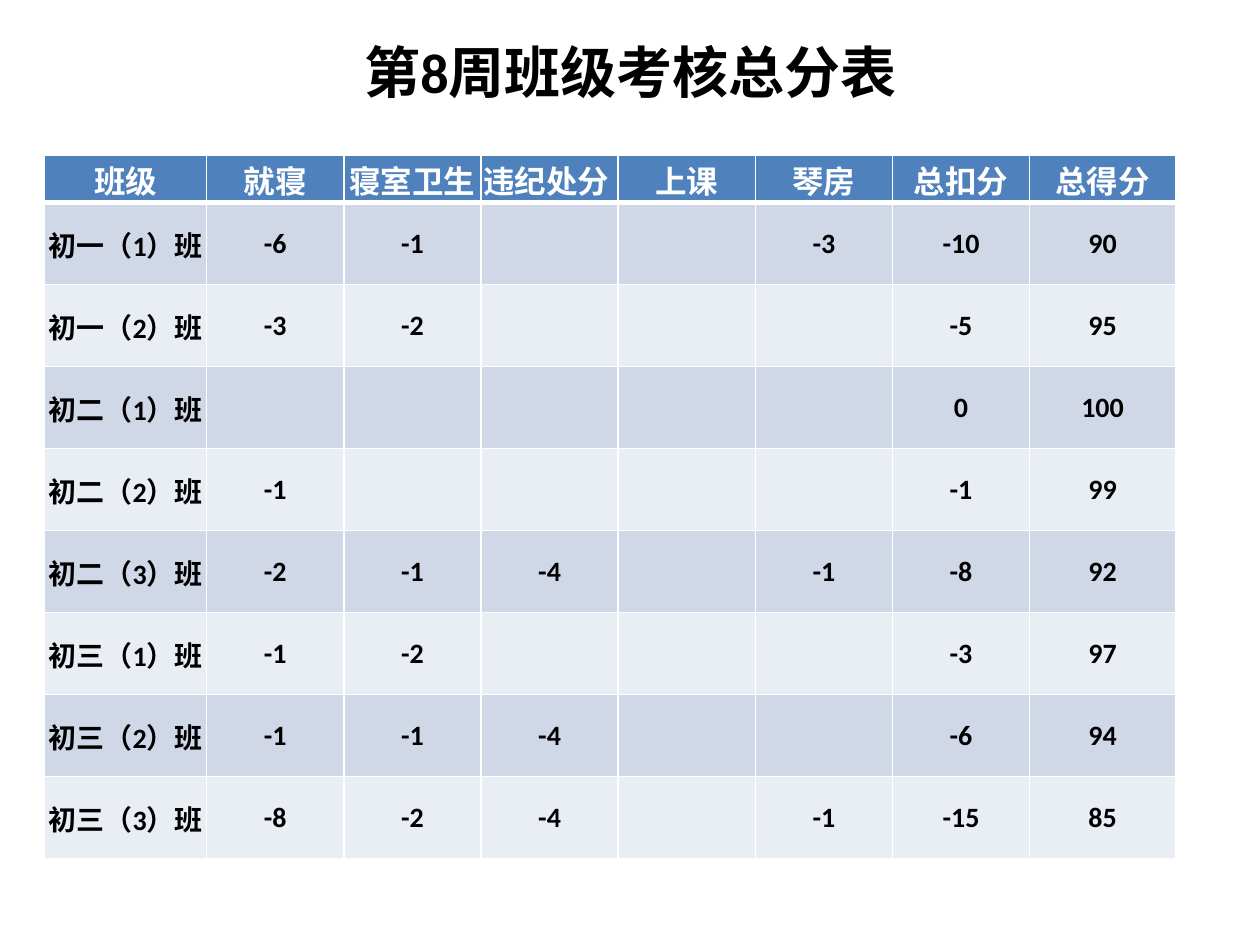
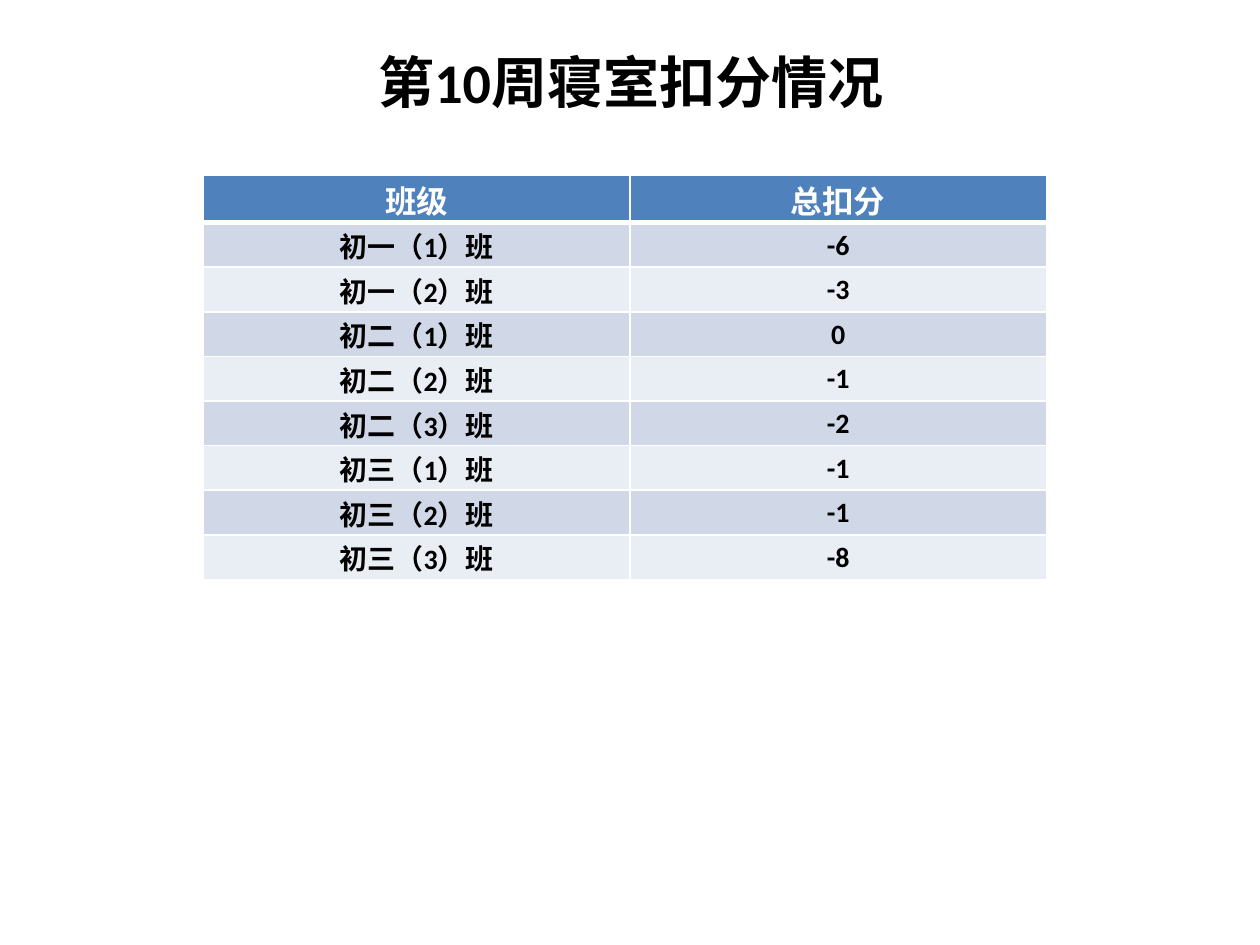
from lxml.etree import SubElement
from pptx import Presentation
from pptx.dml.color import RGBColor
from pptx.enum.text import MSO_ANCHOR as Anchor, PP_ALIGN as Align
from pptx.oxml.ns import qn
from pptx.util import Pt

CLASSES = ["初一（1）班", "初一（2）班", "初二（1）班", "初二（2）班",
           "初二（3）班", "初三（1）班", "初三（2）班", "初三（3）班"]
SCORE_HEADERS = ["班级", "就寝", "寝室卫生", "违纪处分 ", "上课", "琴房", "总扣分", "总得分"]
SCORES = [
    ["-6", "-1", "", "", "-3", "-10", "90"],
    ["-3", "-2", "", "", "", "-5", "95"],
    ["", "", "", "", "", "0", "100"],
    ["-1", "", "", "", "", "-1", "99"],
    ["-2", "-1", "-4", "", "-1", "-8", "92"],
    ["-1", "-2", "", "", "", "-3", "97"],
    ["-1", "-1", "-4", "", "", "-6", "94"],
    ["-8", "-2", "-4", "", "-1", "-15", "85"],
]
DORM_HEADERS = ["班级", "总扣分"]
DORM_DEDUCTIONS = [["-6"], ["-3"], ["0"], ["-1"], ["-2"], ["-1"], ["-1"], ["-8"]]

SLIDES = [
    dict(title="第8周班级考核总分表", title_top=15, headers=SCORE_HEADERS, values=SCORES,
         left=25.5, top=88.8, widths=[92.6] + [78.4] * 6 + [83.4]),
    dict(title="第10周寝室扣分情况", title_top=21, headers=DORM_HEADERS,
         values=DORM_DEDUCTIONS, left=116.2, top=100.4, widths=[243.8, 238]),
]

FONT = "Calibri"
BLACK, WHITE, HEADER_FILL = "000000", "FFFFFF", "4F81BD"
BAND_FILLS = ["E9EDF4", "D0D8E8"]
ROW_HEIGHT = 25.5
INSET = 0.75


def color(value):
    return RGBColor.from_string(value)


def format_text(text_frame, size, font_color):
    for paragraph in text_frame.paragraphs:
        paragraph.alignment = Align.CENTER
        for run in paragraph.runs:
            run.font.name = FONT
            run.font.size = Pt(size)
            run.font.bold = True
            run.font.color.rgb = color(font_color)


def add_title(slide, text, top):
    title = slide.shapes.title
    title.left, title.top, title.width, title.height = Pt(36.5), Pt(top), Pt(648), Pt(51)
    title.text_frame.text = text
    title.text_frame.vertical_anchor = Anchor.MIDDLE
    format_text(title.text_frame, 32, BLACK)


def add_borders(cell, row_index):
    top = 3 if row_index == 1 else 1
    bottom = 3 if row_index == 0 else 1
    properties = cell._tc.get_or_add_tcPr()
    for side, width in (("L", 1), ("R", 1), ("T", top), ("B", bottom)):
        line = SubElement(properties, qn(f"a:ln{side}"), w=str(Pt(width)))
        SubElement(SubElement(line, qn("a:solidFill")), qn("a:srgbClr"), val=WHITE)


def format_cell(cell, text, row_index):
    is_header = row_index == 0
    add_borders(cell, row_index)
    cell.fill.solid()
    cell.fill.fore_color.rgb = color(HEADER_FILL if is_header else BAND_FILLS[row_index % 2])
    cell.margin_left = cell.margin_right = cell.margin_top = Pt(INSET)
    cell.margin_bottom = 0
    cell.vertical_anchor = Anchor.MIDDLE
    cell.text_frame.text = text
    format_text(cell.text_frame, 18 if is_header else 16, WHITE if is_header else BLACK)


def add_score_table(slide, headers, values, left, top, widths):
    rows = [headers] + [[name] + row for name, row in zip(CLASSES, values)]
    table = slide.shapes.add_table(len(rows), len(headers), Pt(left), Pt(top),
                                   Pt(sum(widths)), Pt(ROW_HEIGHT * len(rows))).table
    for column, width in zip(table.columns, widths):
        column.width = Pt(width)
    for row_index, row in enumerate(rows):
        table.rows[row_index].height = Pt(ROW_HEIGHT)
        for column_index, text in enumerate(row):
            format_cell(table.cell(row_index, column_index), text, row_index)


def main():
    """Build the weekly class score slides."""
    presentation = Presentation()
    presentation.slide_width, presentation.slide_height = Pt(720), Pt(540)
    for content in SLIDES:
        slide = presentation.slides.add_slide(presentation.slide_layouts[5])
        add_title(slide, content["title"], content["title_top"])
        add_score_table(slide, content["headers"], content["values"],
                        content["left"], content["top"], content["widths"])
    presentation.save("out.pptx")


if __name__ == "__main__":
    main()
